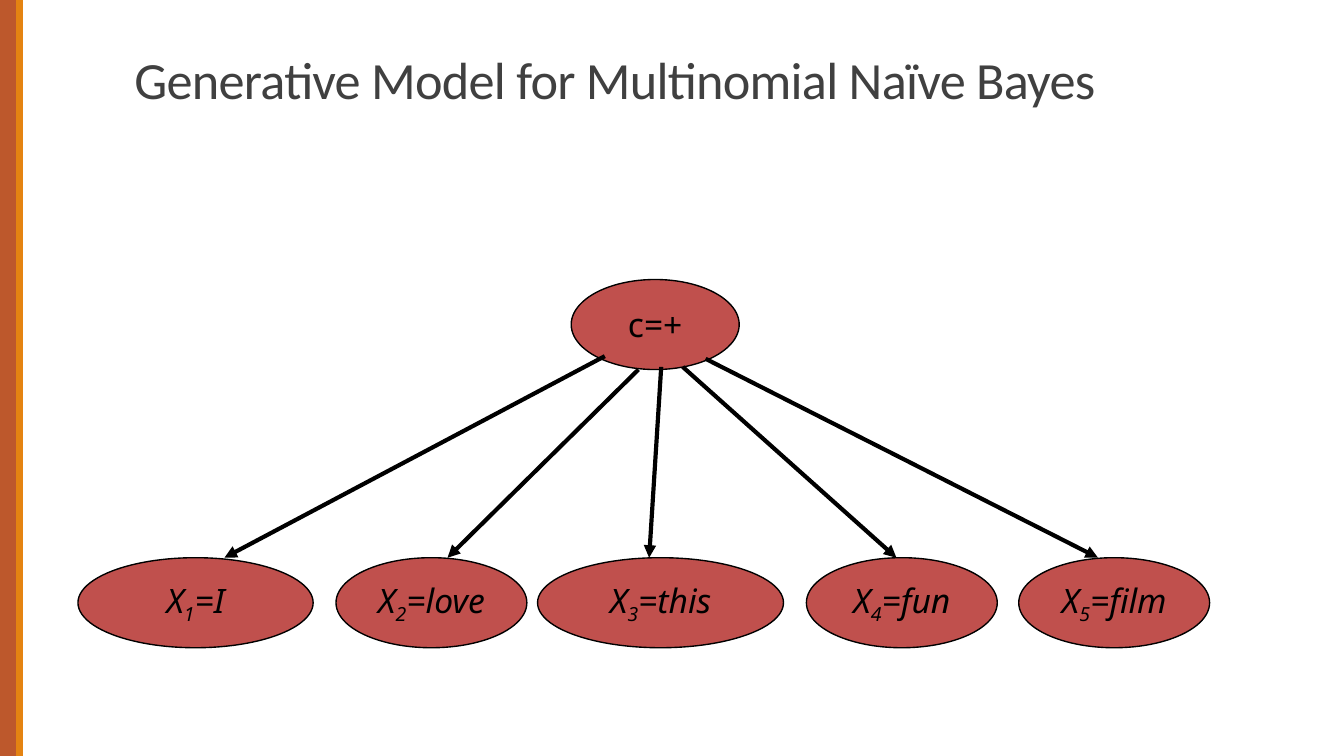
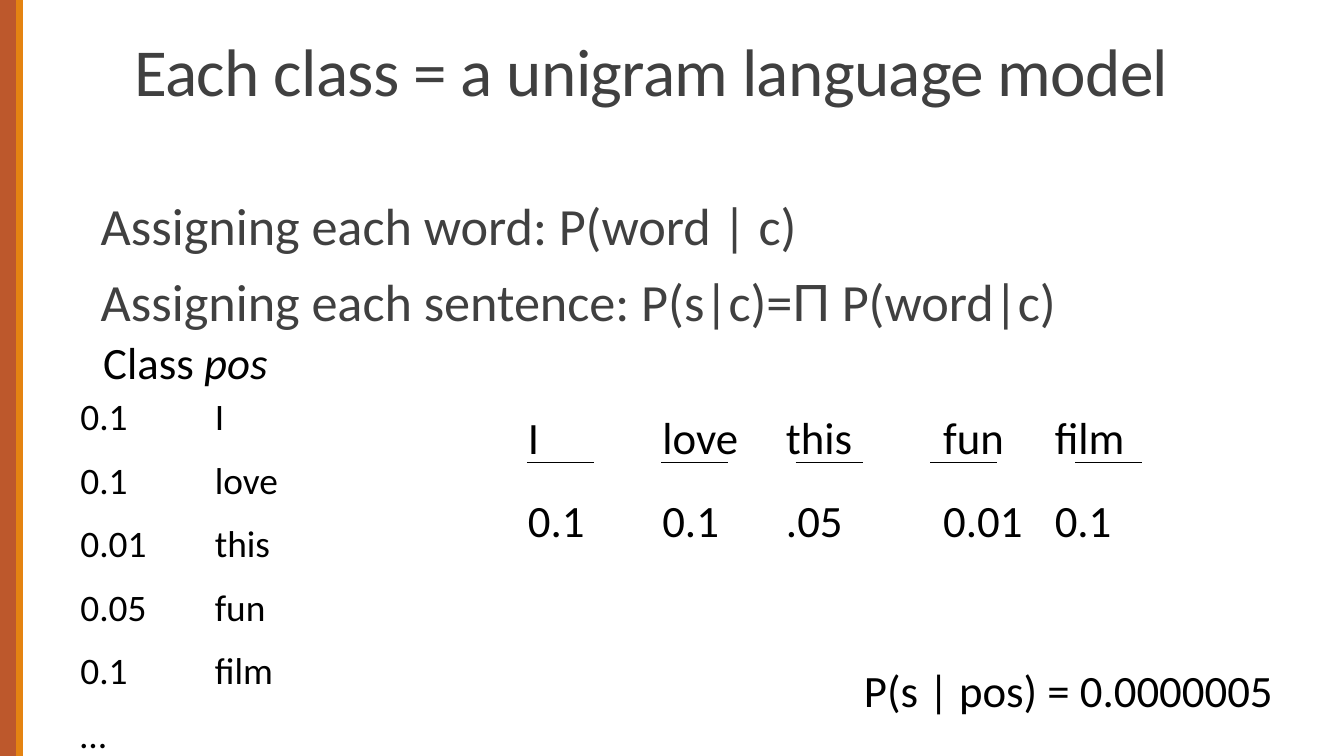
from lxml import etree
from pptx import Presentation
from pptx.dml.color import RGBColor
from pptx.enum.shapes import MSO_CONNECTOR, MSO_SHAPE
from pptx.enum.text import MSO_ANCHOR, MSO_AUTO_SIZE, PP_ALIGN
from pptx.oxml.ns import qn
from pptx.util import Inches, Pt

STRAIGHT = MSO_CONNECTOR.STRAIGHT
RECT, OVAL = MSO_SHAPE.RECTANGLE, MSO_SHAPE.OVAL
MIDDLE, BOTTOM = MSO_ANCHOR.MIDDLE, MSO_ANCHOR.BOTTOM
LEFT, CENTER = PP_ALIGN.LEFT, PP_ALIGN.CENTER
NO_FIT = MSO_AUTO_SIZE.NONE

COLORS = {"rust": "BD582C", "orange": "E48312", "title": "404040",
          "node": "C0504D", "ink": "000000"}
FONT, NODE_FONT, SYMBOL_FONT = "Calibri", "Noto Sans", "Arial"
WIDTH = 10
HEIGHT = WIDTH * 9 / 16

BANDS = [(0, 0.17, "rust"), (0.12, 0.05, "orange")]

MODEL_TITLE = "Generative Model for Multinomial Naïve Bayes"
CLASS_NODE = (4.25, 2.08, 1.25, "c=+")
WORD_TOP, NODE_HEIGHT = 4.15, 0.67
WORD_NODES = [
    (0.58, 1.75, "I", (4.5, 2.65), 1.67),
    (2.5, 1.42, "love", (4.75, 2.75), 3.33),
    (4, 1.83, "this", (4.92, 2.73), 4.83),
    (6, 1.42, "fun", (5.08, 2.73), 6.67),
    (7.58, 1.42, "film", (5.25, 2.67), 8.17),
]

UNIGRAM_TITLE = "Each class = a unigram language model"
RULES = [
    [("Assigning each word: P(word | c)", FONT)],
    [("Assigning each sentence: P(s|c)=", FONT), ("Π", SYMBOL_FONT),
     (" P(word|c)", FONT)],
]
CLASS_PROBS = ["0.1\tI", "0.1\tlove", "0.01\tthis", "0.05\tfun", "0.1\tfilm", "…"]
SENTENCE = [
    (3.83, 0.67, 3.92, "I", "0.1"),
    (4.83, 0.83, 4.92, "love", "0.1"),
    (5.75, 0.83, 5.92, "this", ".05"),
    (6.92, 0.83, 6.92, "fun", "0.01"),
    (7.75, 1.5, 8, "film", "0.1"),
]
WORD_ROW, UNDERLINE_ROW, PROB_ROW = 3, 3.44, 3.62
RESULT = "P(s | pos) = 0.0000005"


def rgb(name):
    return RGBColor.from_string(COLORS[name])


def style(r, size, color="ink", font=FONT, italic=None):
    r.font.name = font
    r.font.size = Pt(size)
    r.font.color.rgb = rgb(color)
    r.font.italic = italic


def add_run(p, text, size, **options):
    r = p.add_run()
    r.text = text
    style(r, size, **options)
    return r


def add_tab(p, position):
    tabs = etree.SubElement(p._p.get_or_add_pPr(), qn("a:tabLst"))
    etree.SubElement(tabs, qn("a:tab"), pos=str(Inches(position)), algn="l")


def add_filled(slide, shape, box, fill):
    sp = slide.shapes.add_shape(shape, *map(Inches, box))
    sp.shadow.inherit = False
    sp.fill.solid()
    sp.fill.fore_color.rgb = rgb(fill)
    return sp


def add_line(slide, start, end, width, arrow=False):
    line = slide.shapes.add_connector(STRAIGHT, *map(Inches, start + end))
    line.line.color.rgb = rgb("ink")
    line.line.width = Pt(width)
    if arrow:
        etree.SubElement(line.line._get_or_add_ln(), qn("a:tailEnd"), type="triangle")
    etree.SubElement(line._element.spPr, qn("a:effectLst"))


def add_textbox(slide, *box):
    tf = slide.shapes.add_textbox(*map(Inches, box)).text_frame
    tf.word_wrap = True
    return tf


def add_label(slide, box, text, size=24):
    tf = add_textbox(slide, *box)
    tf.text = text
    for r in tf.paragraphs[0].runs:
        style(r, size)
    return tf


def add_slide(prs, title, size):
    slide = prs.slides.add_slide(prs.slide_layouts[5])
    for left, width, color in BANDS:
        add_filled(slide, RECT, (left, 0, width, HEIGHT), color).line.fill.background()
    sp = slide.shapes.title
    sp.left, sp.top, sp.width, sp.height = map(Inches, (0.9, 0.13, 8.25, 0.74))
    tf = sp.text_frame
    tf.text = title
    tf.auto_size = NO_FIT
    tf.vertical_anchor = BOTTOM
    p = tf.paragraphs[0]
    p.alignment = LEFT
    p.line_spacing = 0.85
    r = p.runs[0]
    style(r, size, "title")
    r._r.get_or_add_rPr().set("spc", "-37")
    return slide


def add_node(slide, left, top, width):
    sp = add_filled(slide, OVAL, (left, top, width, NODE_HEIGHT), "node")
    sp.line.color.rgb = rgb("ink")
    sp.line.width = Pt(0.75)
    tf = sp.text_frame
    tf.word_wrap = False
    tf.vertical_anchor = MIDDLE
    p = tf.paragraphs[0]
    p.alignment = CENTER
    return p


def build_model(prs):
    slide = add_slide(prs, MODEL_TITLE, 28)
    left, top, width, text = CLASS_NODE
    add_run(add_node(slide, left, top, width), text, 18, font=NODE_FONT)
    for i, (left, width, word, start, end_x) in enumerate(WORD_NODES, 1):
        p = add_node(slide, left, WORD_TOP, width)
        runs = [add_run(p, text, 18, font=NODE_FONT, italic=True)
                for text in ("X", str(i), f"={word}")]
        runs[1]._r.get_or_add_rPr().set("baseline", "-25000")
        add_line(slide, start, (end_x, WORD_TOP), 2.25, arrow=True)


def build_unigram(prs):
    slide = add_slide(prs, UNIGRAM_TITLE, 36)
    tf = add_textbox(slide, 0.75, 1.44, 8.5, 1.12)
    tf.margin_left = tf.margin_right = 0
    for i, parts in enumerate(RULES):
        p = tf.add_paragraph() if i else tf.paragraphs[0]
        p.line_spacing = 0.9
        p.space_before = Pt(9 if i else 0)
        p.space_after = Pt(1.5)
        for text, font in parts:
            add_run(p, text, 28, color="title", font=font)

    tf = add_textbox(slide, 0.5, 2.88, 2.67, 2.96)
    for i, text in enumerate(CLASS_PROBS):
        p = tf.add_paragraph() if i else tf.paragraphs[0]
        p.text = text
        p.space_before = Pt(10 if i else 0)
        add_tab(p, 1)
        for r in p.runs:
            style(r, 20)

    for left, width, line_x, word, prob in SENTENCE:
        add_label(slide, (left, WORD_ROW, width, 0.5), word)
        add_line(slide, (line_x, UNDERLINE_ROW), (line_x + 0.5, UNDERLINE_ROW), 0.75)
        add_label(slide, (left, PROB_ROW, width, 0.5), prob)

    tf = add_label(slide, (0.67, 2.44, 1.5, 0.5), "Class ")
    add_run(tf.paragraphs[0], "pos", 24, italic=True)
    add_label(slide, (6.33, 4.88, 3.25, 0.5), RESULT)


def main():
    prs = Presentation()
    prs.slide_width, prs.slide_height = Inches(WIDTH), Inches(HEIGHT)
    build_model(prs)
    build_unigram(prs)
    prs.save("out.pptx")


if __name__ == "__main__":
    main()
